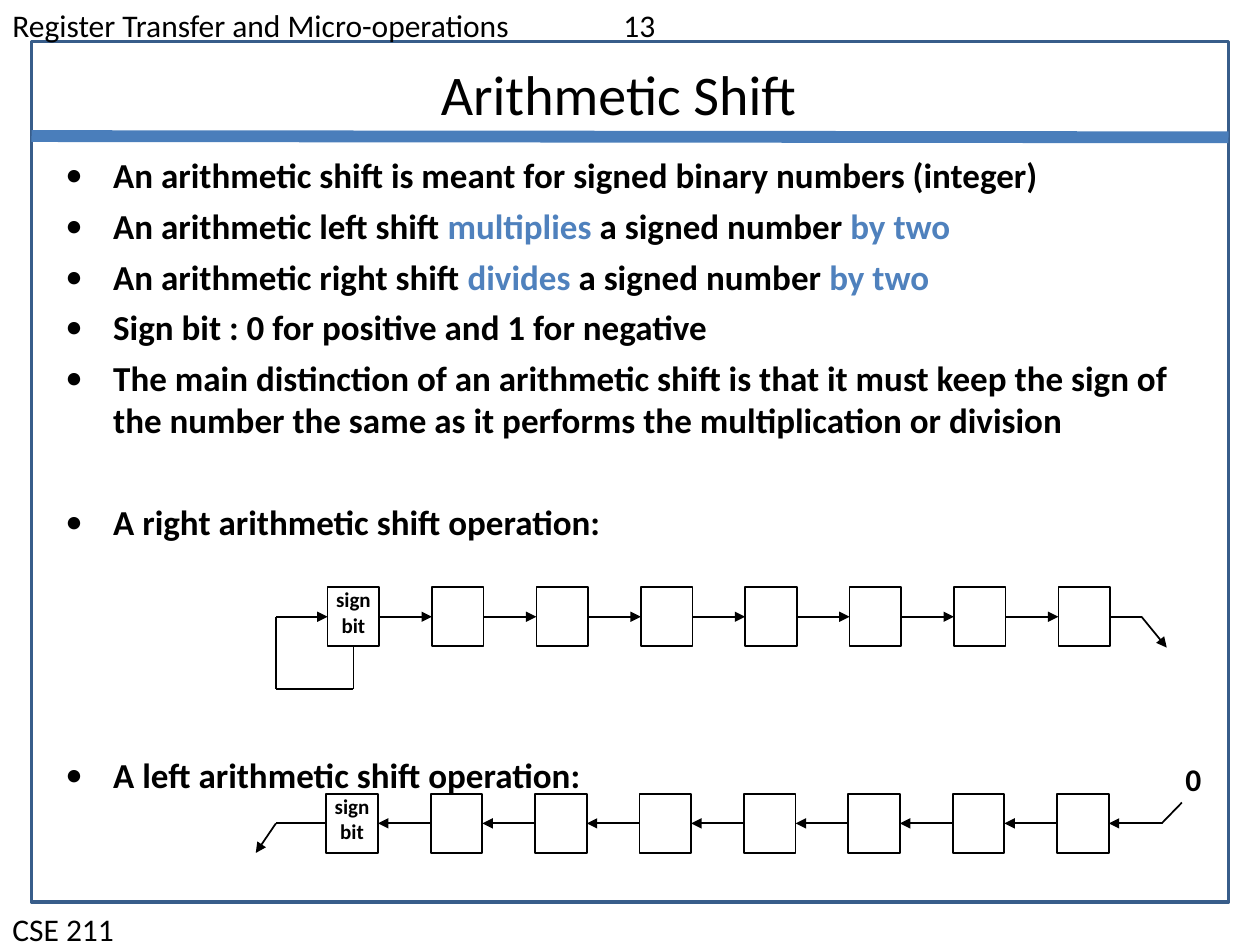
from lxml.etree import SubElement
from pptx import Presentation
from pptx.dml.color import RGBColor
from pptx.enum.shapes import MSO_CONNECTOR as Connector, MSO_SHAPE as Shape
from pptx.enum.text import MSO_AUTO_SIZE as AutoSize, PP_ALIGN as Align
from pptx.oxml.ns import qn
from pptx.util import Inches, Pt

TOP, LEFT, BOTTOM, RIGHT = range(4)
BOX_WIDTH, BOX_HEIGHT = 0.41, 0.47
BOX_COUNT = 8
BOX_STEP = 5.8 / 7
LABEL_WIDTH = 0.7


def color(value):
    return RGBColor.from_string(value)


def add_run(paragraph, text, size=18, bold=False, fill="000000", font="Calibri"):
    run = paragraph.add_run()
    run.text = text
    run.font.name = font
    run.font.size = Pt(size)
    run.font.bold = bold
    run.font.color.rgb = color(fill)


class SlideBuilder:
    ink = "000000"
    accent = "4F81BD"
    frame_line = "385D8A"
    rule_line = "4A7EBB"

    def __init__(self, slide):
        self.slide = slide

    def rectangle(self, left, top, width, height, line=ink, weight=1):
        shape = self.slide.shapes.add_shape(
            Shape.RECTANGLE, Inches(left), Inches(top), Inches(width), Inches(height))
        shape.shadow.inherit = False
        shape.fill.background()
        shape.line.color.rgb = color(line)
        shape.line.width = Pt(weight)
        return shape

    def text_frame(self, left, top, width, height, wrap=True, grow=True):
        box = self.slide.shapes.add_textbox(
            Inches(left), Inches(top), Inches(width), Inches(height))
        frame = box.text_frame
        frame.word_wrap = wrap
        frame.auto_size = AutoSize.SHAPE_TO_FIT_TEXT if grow else AutoSize.NONE
        return frame

    def text(self, content, left, top, width, height, align=Align.LEFT,
             wrap=True, tab=None, **style):
        frame = self.text_frame(left, top, width, height, wrap)
        for index, line in enumerate(content.split("\n")):
            paragraph = frame.add_paragraph() if index else frame.paragraphs[0]
            paragraph.alignment = align
            add_run(paragraph, line, **style)
            if tab:
                tabs = SubElement(paragraph._p.get_or_add_pPr(), qn("a:tabLst"))
                SubElement(tabs, qn("a:tab"), pos=str(Inches(tab)), algn="l")

    def bullets(self, items, left, top, width, height):
        frame = self.text_frame(left, top, width, height, grow=False)
        for index, (space, parts) in enumerate(items):
            paragraph = frame.add_paragraph() if index else frame.paragraphs[0]
            paragraph.space_before = Pt(space)
            properties = paragraph._p.get_or_add_pPr()
            properties.set("marL", str(Inches(0.38)))
            properties.set("indent", str(Inches(-0.38)))
            bullet_color = SubElement(properties, qn("a:buClr"))
            SubElement(bullet_color, qn("a:srgbClr"), val=self.ink)
            SubElement(properties, qn("a:buFont"), typeface="Calibri")
            SubElement(properties, qn("a:buChar"), char="•")
            for position, part in enumerate(parts):
                fill = self.accent if position % 2 else self.ink
                add_run(paragraph, part, size=20, bold=True, fill=fill)

    def connect(self, start, end, arrow=False, line=ink, weight=1, start_box=None, end_box=None):
        connector = self.slide.shapes.add_connector(
            Connector.STRAIGHT, *(Inches(value) for value in (*start, *end)))
        connector.line.color.rgb = color(line)
        connector.line.width = Pt(weight)
        if arrow:
            SubElement(connector.line._get_or_add_ln(), qn("a:tailEnd"), type="triangle")
        SubElement(connector._element.spPr, qn("a:effectLst"))
        if start_box:
            connector.begin_connect(*start_box)
        if end_box:
            connector.end_connect(*end_box)

    def register(self, left, top, shift_right):
        lefts = [left + BOX_STEP * index for index in range(BOX_COUNT)]
        boxes = [self.rectangle(x, top, BOX_WIDTH, BOX_HEIGHT) for x in lefts]
        middle = top + BOX_HEIGHT / 2
        for index in range(BOX_COUNT - 1):
            near = ((lefts[index] + BOX_WIDTH, middle), (boxes[index], RIGHT))
            far = ((lefts[index + 1], middle), (boxes[index + 1], LEFT))
            (start, start_box), (end, end_box) = (near, far) if shift_right else (far, near)
            self.connect(start, end, arrow=True, start_box=start_box, end_box=end_box)
        self.text("sign\nbit", left + (BOX_WIDTH - LABEL_WIDTH) / 2, top - 0.05,
                  LABEL_WIDTH, 0.5, align=Align.CENTER, size=12, bold=True)
        return boxes[0], boxes[-1], middle, lefts[-1] + BOX_WIDTH

    def right_shift(self, left, top):
        sign, last, middle, right = self.register(left, top, True)
        loop_left, loop_bottom, center = 2.19, 5.47, left + BOX_WIDTH / 2
        self.connect((loop_left, middle), (left, middle), arrow=True, end_box=(sign, LEFT))
        self.connect((loop_left, middle), (loop_left, loop_bottom))
        self.connect((loop_left, loop_bottom), (center, loop_bottom))
        self.connect((center, loop_bottom), (center, top + BOX_HEIGHT), end_box=(sign, BOTTOM))
        self.connect((right, middle), (9.06, middle), start_box=(last, RIGHT))
        self.connect((9.06, middle), (9.26, 5.14), arrow=True)

    def left_shift(self, left, top):
        sign, last, middle, right = self.register(left, top, False)
        self.connect((9.22, middle), (right, middle), arrow=True, end_box=(last, RIGHT))
        self.connect((9.22, middle), (9.38, 6.37))
        self.text("0", 9.31, 5.98, 0.32, 0.4, wrap=False, bold=True)
        self.connect((left, middle), (2.19, middle), start_box=(sign, LEFT))
        self.connect((2.19, middle), (2.03, 6.77), arrow=True)


def main():
    presentation = Presentation()
    presentation.slide_width = Inches(10)
    presentation.slide_height = Inches(7.5)
    builder = SlideBuilder(presentation.slides.add_slide(presentation.slide_layouts[6]))

    builder.rectangle(0.25, 0.33, 9.5, 6.83, line=builder.frame_line, weight=2)
    builder.text("Register Transfer and Micro-operations\t13", 0, 0, 10, 0.41, tab=4.85)
    builder.text("CSE 211", 0, 7.17, 10, 0.4)
    builder.connect((0.25, 1.08), (9.75, 1.09), line=builder.rule_line, weight=6.75)
    builder.text("Arithmetic Shift", 0.75, 0.42, 8.32, 0.64, align=Align.CENTER, size=32)
    builder.bullets([
        (5, ["An arithmetic shift is meant for signed binary numbers (integer)"]),
        (5, ["An arithmetic left shift ", "multiplies", " a signed number ", "by two"]),
        (5, ["An arithmetic right shift ", "divides", " a signed number ", "by two"]),
        (5, ["Sign bit : 0 for positive and 1 for negative"]),
        (5, ["The main distinction of an arithmetic shift is that it must keep the sign of "
             "the number the same as it performs the multiplication or division"]),
        (34, ["A right arithmetic shift operation:"]),
        (121, ["A left arithmetic shift operation:"]),
    ], 0.42, 1.17, 9.19, 5.74)
    builder.right_shift(2.6, 4.66)
    builder.left_shift(2.59, 6.3)
    presentation.save("out.pptx")


if __name__ == "__main__":
    main()
